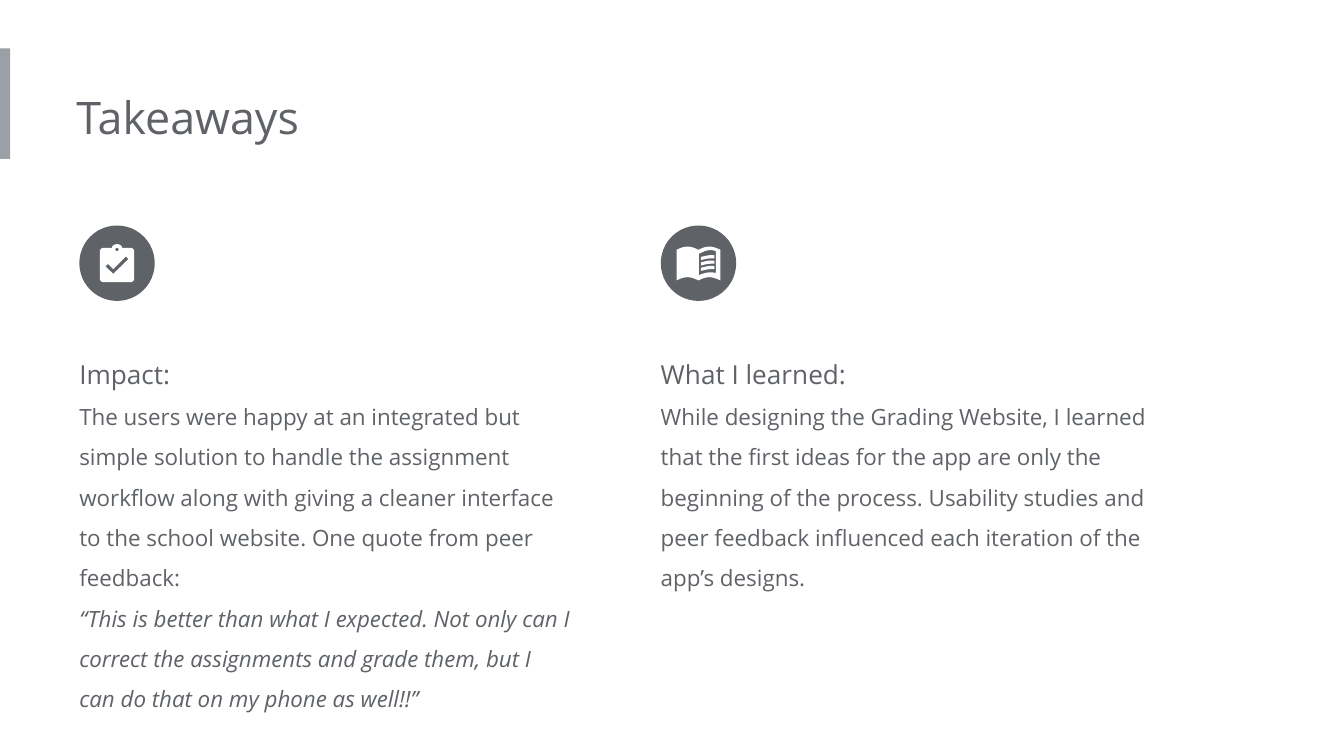
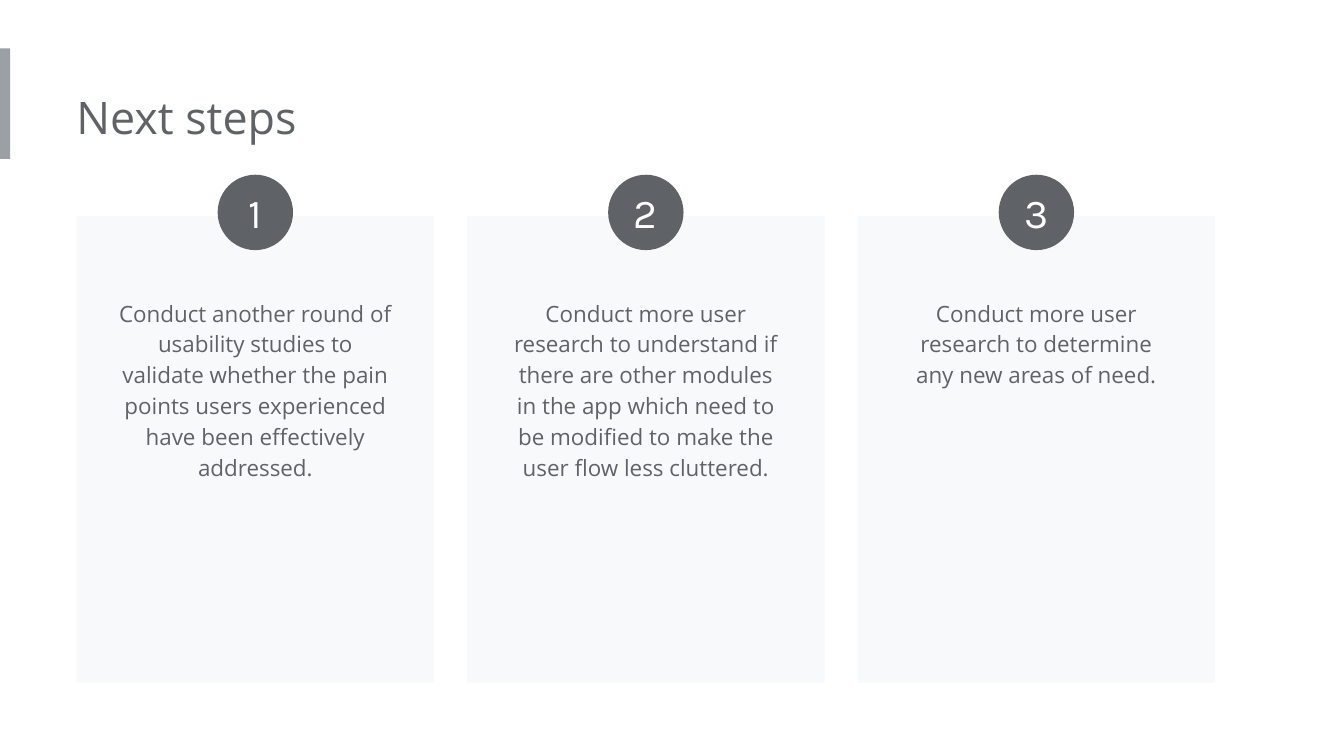
from math import cos, pi, sin

from pptx import Presentation
from pptx.dml.color import RGBColor
from pptx.enum.shapes import MSO_SHAPE as Geo
from pptx.enum.text import MSO_ANCHOR as Anchor
from pptx.enum.text import MSO_AUTO_SIZE as Auto
from pptx.enum.text import PP_ALIGN as Align
from pptx.util import Pt

DARK = RGBColor(0x5F, 0x63, 0x68)
GREY = RGBColor(0x9A, 0xA0, 0xA6)
PALE = RGBColor(0xF8, 0xF9, 0xFA)
WHITE = RGBColor(0xFF, 0xFF, 0xFF)
FONT = "Open Sans"
DIGIT = "Karla"
DISC = 40.4
PAD = 7.2

IMPACT = ("The users were happy at an integrated but simple solution to handle "
          "the assignment workflow along with giving a cleaner interface to the "
          "school website. One quote from peer feedback:")
QUOTE = ("“This is better than what I expected. Not only can I correct the "
         "assignments and grade them, but I can do that on my phone as well!!”")
LEARNED = ("While designing the Grading Website, I learned that the first ideas "
           "for the app are only the beginning of the process. Usability studies "
           "and peer feedback influenced each iteration of the app’s designs.")
STEPS = [
    ("Conduct another round of usability studies to validate whether the pain "
     "points users experienced have been effectively addressed.", 115),
    ("Conduct more user research to understand if there are other modules in "
     "the app which need to be modified to make the user flow less cluttered.", 115),
    ("Conduct more user research to determine any new areas of need.", 65),
]


def paint(shape, color):
    shape.shadow.inherit = False
    shape.fill.solid()
    shape.fill.fore_color.rgb = color
    shape.line.fill.background()
    return shape


def add_form(slide, kind, x, y, w, h, color):
    return paint(slide.shapes.add_shape(kind, Pt(x), Pt(y), Pt(w), Pt(h)), color)


def add_run(para, text, size, color=DARK, font=FONT, slant=None):
    run = para.add_run()
    run.text = text
    run.font.size = Pt(size)
    run.font.name = font
    run.font.color.rgb = color
    run.font.italic = slant


def add_box(slide, x, y, w, h, left=0):
    frame = slide.shapes.add_textbox(Pt(x), Pt(y), Pt(w), Pt(h)).text_frame
    frame.word_wrap = True
    frame.auto_size = Auto.SHAPE_TO_FIT_TEXT
    frame.margin_left = Pt(left)
    frame.margin_right = frame.margin_top = frame.margin_bottom = Pt(PAD)
    return frame


def add_page(deck, title):
    slide = deck.slides.add_slide(deck.slide_layouts[6])
    add_form(slide, Geo.RECTANGLE, 0, 26, 5.4, 59.2, GREY)
    add_run(add_box(slide, 41, 41, 388, 44).paragraphs[0], title, 24)
    return slide


def add_disc(slide, x, y):
    return add_form(slide, Geo.OVAL, x, y, DISC, DISC, DARK)


def draw(slide, x, y, *loops):
    loops = [[(Pt(x + px), Pt(y + py)) for px, py in loop] for loop in loops]
    pen = slide.shapes.build_freeform(*loops[0][0])
    for i, loop in enumerate(loops):
        if i:
            pen.move_to(*loop[0])
        pen.add_line_segments(loop[1:], close=True)
    paint(pen.convert_to_shape(), WHITE)


def arc(x, y, rx, ry, start, end, steps=8):
    turns = [start + (end - start) * i / steps for i in range(steps + 1)]
    return [(x + rx * cos(t), y + ry * sin(t)) for t in turns]


def arch(x, y, w, rise, end=pi, steps=12):
    return [(x + w * i / steps, y - rise * sin(end * i / steps))
            for i in range(steps + 1)]


def draw_board(slide, x, y):
    left, right, top, base, r, mid = 11, 29.4, 12, 30.4, 2, 20.2
    body = (arc(left + r, top + r, r, r, pi, 1.5 * pi)
            + arc(mid, top, 2.7, 2, pi, 2 * pi)
            + arc(right - r, top + r, r, r, 1.5 * pi, 2 * pi)
            + arc(right - r, base - r, r, r, 0, pi / 2)
            + arc(left + r, base - r, r, r, pi / 2, pi))
    hole = arc(mid, 12.9, 0.9, 0.9, 0, 2 * pi, 12)
    tick = [(18.2, 26), (14, 21.9), (15.4, 20.6), (18.2, 23.4),
            (25, 16.6), (26.3, 18)]
    draw(slide, x, y, body, hole, tick)


def draw_book(slide, x, y):
    left, mid, half = 8.5, 20.2, 11.7
    upper = arch(left, 13, half, 1.7) + arch(mid, 13, half, 1.7)
    lower = arch(left, 29.4, half, 1.7) + arch(mid, 29.4, half, 1.7)
    sheet = (arch(20.4, 15.2, 9.2, 2, 2.3)
             + arch(20.4, 26.6, 9.2, 1.5, 2.3)[::-1])
    draw(slide, x, y, upper + lower[::-1], sheet)
    for i in range(3):
        line = 16.9 + 2.88 * i
        draw(slide, x, y, arch(21.5, line, 7.2, 1, 1.9)
             + arch(21.5, line + 1.7, 7.2, 1, 1.9)[::-1])


def add_note(slide, x, h, head, body, icon, quote=None):
    frame = add_box(slide, x, 176.4, 271.4, h)
    first, para = frame.paragraphs[0], frame.add_paragraph()
    first.line_spacing = para.line_spacing = 1.5
    add_run(first, head, 14)
    add_run(para, body, 12)
    if quote:
        para.add_line_break()
        add_run(para, quote, 12, slant=True)
    add_disc(slide, x, 120.8)
    icon(slide, x, 120.8)


def add_card(slide, x, num, text, h):
    wide, inset = 191.6, 15.2
    add_form(slide, Geo.RECTANGLE, x, 115.8, wide, 250, PALE)
    para = add_box(slide, x + inset, 151.2, wide - 2 * inset, h, PAD).paragraphs[0]
    para.alignment = Align.CENTER
    para.line_spacing = 1.15
    add_run(para, text, 12)
    frame = add_disc(slide, x + (wide - DISC) / 2, 93.6).text_frame
    frame.margin_left = frame.margin_right = 0
    frame.margin_top = frame.margin_bottom = 0
    frame.vertical_anchor = Anchor.MIDDLE
    frame.paragraphs[0].alignment = Align.CENTER
    add_run(frame.paragraphs[0], str(num), 22, WHITE, DIGIT)


def main():
    deck = Presentation()
    deck.slide_width, deck.slide_height = Pt(720), Pt(405)

    slide = add_page(deck, "Takeaways")
    add_note(slide, 42.5, 214.6, "Impact:", IMPACT, draw_board, QUOTE)
    add_note(slide, 354, 149, "What I learned:", LEARNED, draw_book)

    slide = add_page(deck, "Next steps")
    for i, (text, h) in enumerate(STEPS):
        add_card(slide, 41 + 209.2 * i, i + 1, text, h)

    deck.save("out.pptx")


if __name__ == "__main__":
    main()
